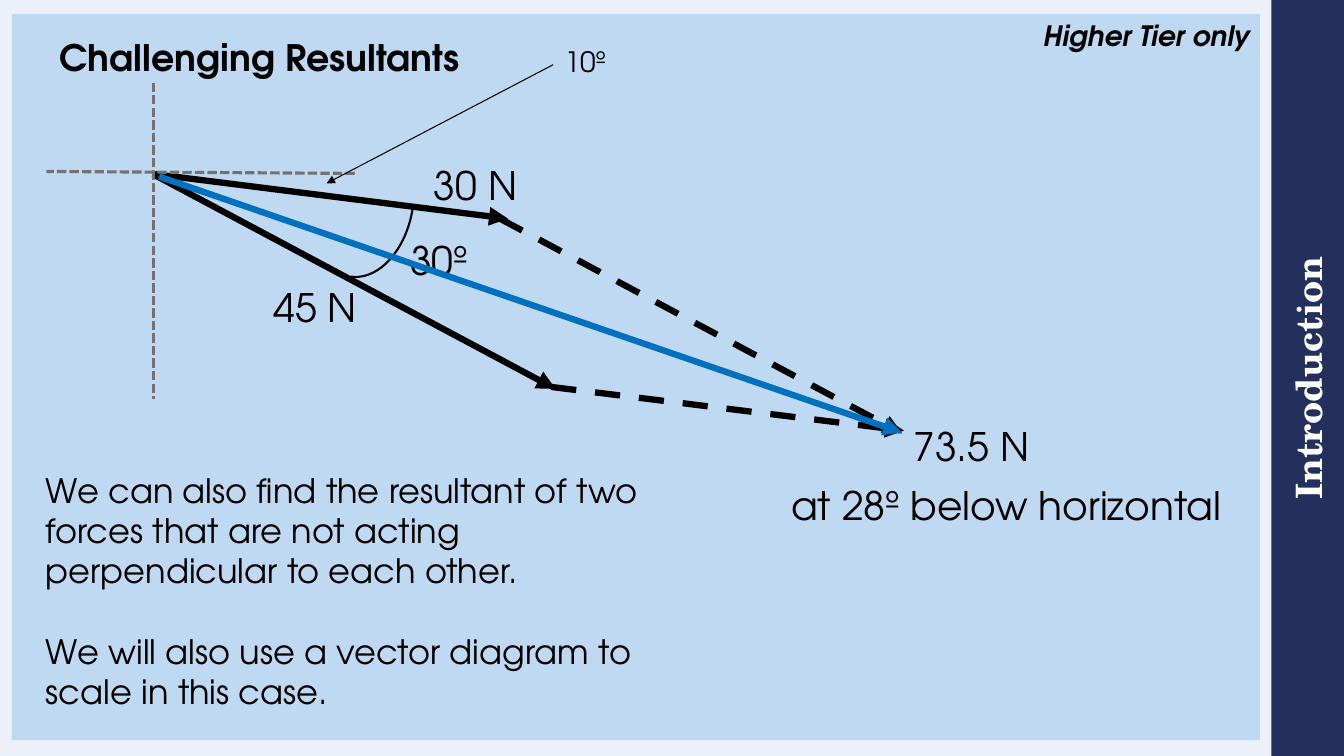
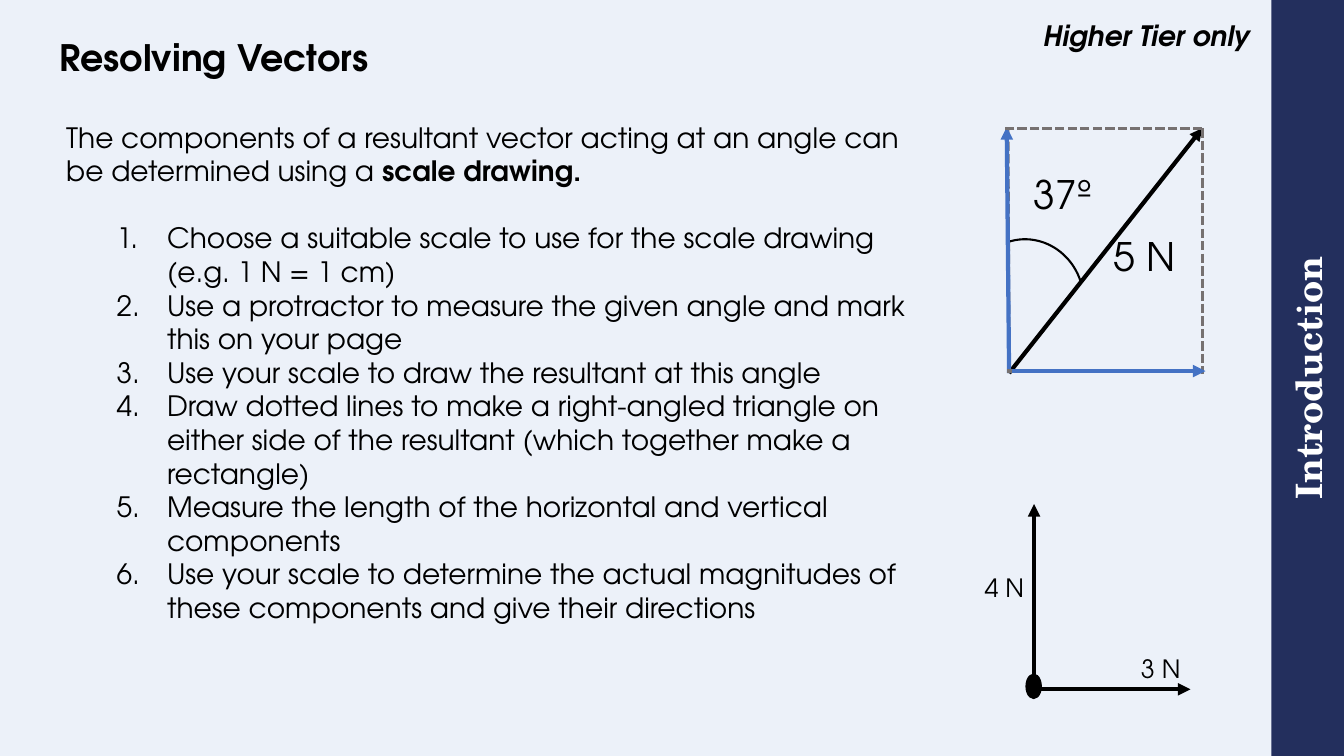
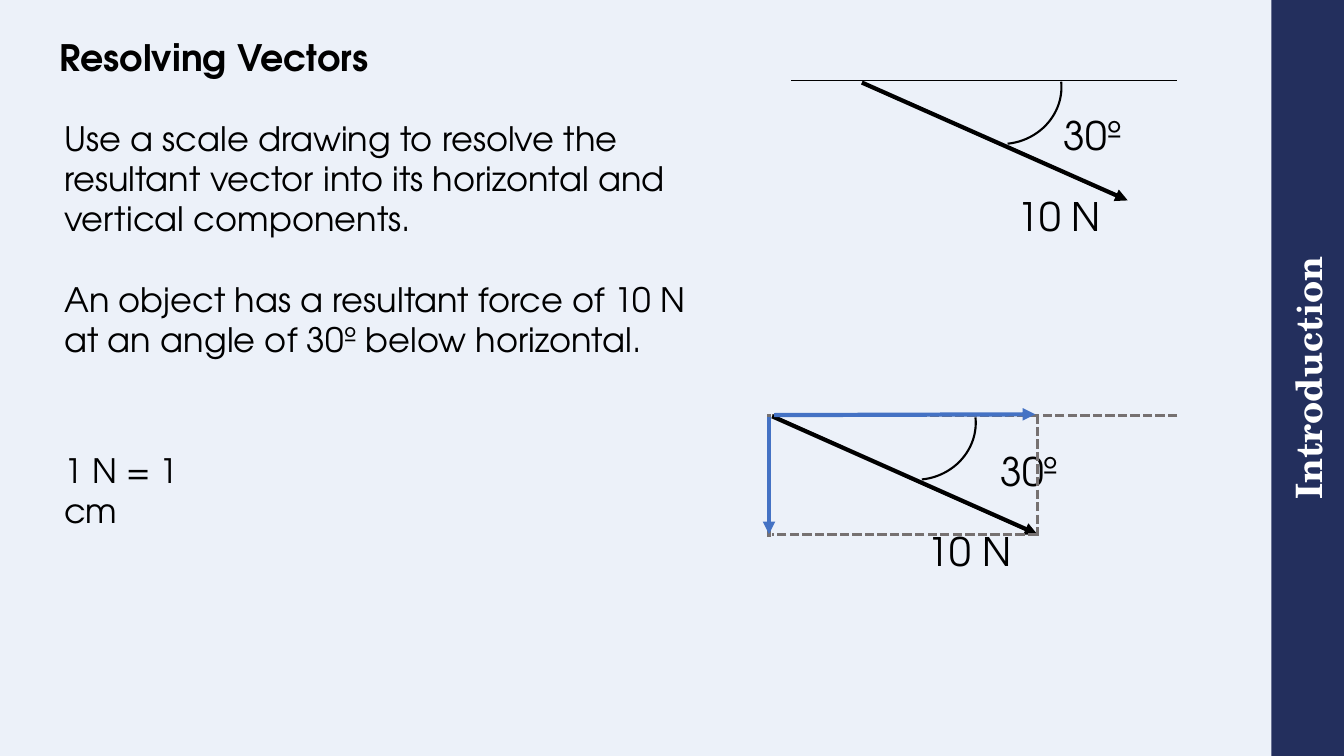
"""Builds three slides on resultant forces and resolving vectors."""
from lxml import etree
from pptx import Presentation
from pptx.dml.color import RGBColor
from pptx.enum import dml, shapes, text
from pptx.oxml import ns
from pptx.util import Cm, Pt


class Theme:
    sans, serif = "TeX Gyre Adventor", "TeX Gyre Schola"
    black, white = RGBColor(0, 0, 0), RGBColor(255, 255, 255)
    page = RGBColor.from_string("ECF1F9")
    panel = RGBColor.from_string("BED9F1")
    navy = RGBColor.from_string("232F5D")
    blue = RGBColor.from_string("4472C4")
    deep = RGBColor.from_string("0070C0")
    grey = RGBColor.from_string("767171")
    head, force, body, note, small = 26, 28, 24, 20, 18
    dash, dots = dml.MSO_LINE.DASH, dml.MSO_LINE.SQUARE_DOT
    pens = {
        "thick": (black, 4.5, None, True),
        "side": (black, 4.5, dash, True),
        "sum": (deep, 4.5, None, True),
        "arrow": (black, 3, None, True),
        "part": (blue, 3, None, True),
        "guide": (grey, 2.25, dots, False),
        "point": (black, 0.75, None, True),
        "level": (black, 0.5, None, False),
    }


LEFT, RIGHT = text.PP_ALIGN.LEFT, text.PP_ALIGN.RIGHT
WIDE, HIGH = 33.87, 19.05


def write(slide, words, left, top, width, height, size=Theme.force, align=RIGHT):
    box = slide.shapes.add_textbox(Cm(left), Cm(top), Cm(width), Cm(height))
    frame = box.text_frame
    frame.word_wrap = True
    frame.text = words
    for num, para in enumerate(frame.paragraphs):
        para.alignment = align
        if num == 1:
            para.space_before = Pt(size * 1.2)
        para.font.name, para.font.size = Theme.sans, Pt(size)
        para.font.color.rgb = Theme.black
    return frame


def draw(slide, pen, *ends):
    color, width, dash, tip = Theme.pens[pen]
    link = slide.shapes.add_connector(
        shapes.MSO_CONNECTOR.STRAIGHT, *[Cm(end) for end in ends])
    link.line.color.rgb = color
    link.line.width = Pt(width)
    if dash:
        link.line.dash_style = dash
    if tip:
        tail = etree.SubElement(link.line._get_or_add_ln(), ns.qn("a:tailEnd"))
        tail.set("type", "triangle")
    etree.SubElement(link._element.spPr, ns.qn("a:effectLst"))


prs = Presentation()
prs.slide_width, prs.slide_height = Cm(WIDE), Cm(HIGH)
layout = prs.slide_layouts[5]
layout.background.fill.solid()
layout.background.fill.fore_color.rgb = Theme.page

slides = []
for name, tier, fill in (
    ("Challenging Resultants", True, Theme.panel),
    ("Resolving Vectors", True, None),
    ("Resolving Vectors", False, None),
):
    slide = prs.slides.add_slide(layout)
    slides.append(slide)
    if tier:
        panel = slide.shapes.add_shape(
            shapes.MSO_SHAPE.RECTANGLE, Cm(0.3), Cm(0.35), Cm(31.45), Cm(18.3))
        panel.shadow.inherit = False
        panel.line.fill.background()
        if fill:
            panel.fill.solid()
            panel.fill.fore_color.rgb = fill
        else:
            panel.fill.background()
        panel.text_frame.text = "Higher Tier only"
        panel.text_frame.vertical_anchor = text.MSO_ANCHOR.TOP
        para = panel.text_frame.paragraphs[0]
        para.alignment = RIGHT
        para.font.name, para.font.size = Theme.sans, Pt(Theme.note)
        para.font.bold = para.font.italic = True
        para.font.color.rgb = Theme.black

    title = slide.shapes.title
    title.left, title.top, title.width, title.height = Cm(1.5), Cm(0), Cm(29.5), Cm(2)
    frame = title.text_frame
    frame.text = name
    frame.auto_size = text.MSO_AUTO_SIZE.NONE
    frame.vertical_anchor = text.MSO_ANCHOR.BOTTOM
    frame.margin_left = frame.margin_top = frame.margin_right = frame.margin_bottom = 0
    para = frame.paragraphs[0]
    para.alignment, para.line_spacing = LEFT, 0.9
    para.font.name, para.font.size, para.font.bold = Theme.sans, Pt(Theme.head), True
    para.font.color.rgb = Theme.black
    slide.shapes._spTree.append(title._element)

sums, steps, task = slides

thick = 1.83
band = sums.shapes.add_shape(
    shapes.MSO_SHAPE.RECTANGLE, Cm(WIDE - thick / 2 - HIGH / 2),
    Cm(HIGH / 2 - thick / 2), Cm(HIGH), Cm(thick))
band.rotation = 270
band.shadow.inherit = False
band.fill.solid()
band.fill.fore_color.rgb = Theme.navy
band.line.fill.background()
frame = band.text_frame
frame.text = "Introduction"
frame.vertical_anchor = text.MSO_ANCHOR.MIDDLE
frame.margin_left = frame.margin_top = frame.margin_right = frame.margin_bottom = 0
para = frame.paragraphs[0]
para.alignment = text.PP_ALIGN.CENTER
para.font.name, para.font.size, para.font.bold = Theme.serif, Pt(Theme.head), True
para.font.color.rgb = Theme.white
layout.shapes._spTree.append(band._element)

write(sums, "We can also find the resultant of two forces that are not acting "
      "perpendicular to each other.\nWe will also use a vector diagram to scale "
      "in this case.", 0.91, 11.71, 16.69, 6.4, Theme.body, LEFT)
write(task, "Use a scale drawing to resolve the resultant vector into its "
      "horizontal and vertical components.\nAn object has a resultant force of "
      "10 N at an angle of 30º below horizontal.",
      1.37, 2.84, 16.69, 6.4, Theme.body, LEFT)
write(task, "1 N = 1 cm", 1.37, 11.2, 4.7, 1.27, Theme.body, LEFT)

frame = write(steps, "The components of a resultant vector acting at an angle can "
              "be determined using a ", 1.42, 2.9, 22.15, 13.08, Theme.note, LEFT)
run = frame.paragraphs[0].add_run()
run.text = "scale drawing."
run.font.bold = True
for num, words in enumerate((
    "Choose a suitable scale to use for the scale drawing (e.g. 1 N = 1 cm)",
    "Use a protractor to measure the given angle and mark this on your page",
    "Use your scale to draw the resultant at this angle",
    "Draw dotted lines to make a right-angled triangle on either side of the "
    "resultant (which together make a rectangle)",
    "Measure the length of the horizontal and vertical components",
    "Use your scale to determine the actual magnitudes of these components and "
    "give their directions",
)):
    para = frame.add_paragraph()
    para.text = words
    para.level = 1
    props = para._p.get_or_add_pPr()
    props.set("marL", str(Cm(2.54)))
    props.set("indent", str(-Cm(1.27)))
    etree.SubElement(props, ns.qn("a:buFont")).set("typeface", "+mj-lt")
    etree.SubElement(props, ns.qn("a:buAutoNum")).set("type", "arabicPeriod")
    para.alignment = LEFT
    if num == 0:
        para.space_before = Pt(Theme.note * 1.2)
    para.font.name, para.font.size = Theme.sans, Pt(Theme.note)
    para.font.color.rgb = Theme.black

for slide, words, left, top, width in (
    (sums, "45 N", 5.61, 7.01, 3.63),
    (sums, "30 N", 9.65, 3.94, 3.63),
    (sums, "30º", 9.91, 5.84, 2.13),
    (sums, "73.5 N", 22.56, 10.52, 3.63),
    (sums, "at 28º below horizontal", 18.47, 12.01, 12.55),
    (steps, "5 N", 26.24, 5.74, 3.63),
    (steps, "37º", 22.1, 4.17, 5.66),
    (task, "10 N", 24.36, 4.72, 3.63),
    (task, "30º", 26.39, 2.69, 2.13),
    (task, "30º", 24.79, 11.15, 2.13),
    (task, "10 N", 22.1, 13.16, 3.63),
):
    write(slide, words, left, top, width, 1.45)
write(sums, "10º", 13.39, 0.99, 2.13, 1.12, Theme.note)
write(steps, "3 N", 28.35, 16.33, 1.65, 1.02, Theme.small)
write(steps, "4 N", 24.41, 14.3, 1.65, 1.02, Theme.small)

for slide, left, top, width, height, turn in (
    (sums, 7.14, 3.71, 3.94, 2.62, 97.9),
    (steps, 24.46, 6.02, 2.84, 3, 341.6),
    (task, 23.83, 0.71, 2.84, 3, 84.3),
    (task, 21.67, 9.17, 2.84, 3, 84.3),
):
    arc = slide.shapes.add_shape(
        shapes.MSO_SHAPE.ARC, Cm(left), Cm(top), Cm(width), Cm(height))
    arc.rotation = turn
    arc.shadow.inherit = False
    arc.fill.background()
    arc.line.color.rgb = Theme.black
    arc.line.width = Pt(1.5)

for slide, pen, *ends in (
    (sums, "thick", 3.91, 4.39, 12.8, 5.51),
    (sums, "thick", 3.86, 4.39, 14, 9.8),
    (sums, "side", 13.89, 9.75, 22.78, 10.85),
    (sums, "side", 12.6, 5.51, 22.73, 10.92),
    (sums, "sum", 4.01, 4.45, 22.73, 10.9),
    (sums, "guide", 3.86, 2.08, 3.86, 10.06),
    (sums, "guide", 8.94, 4.37, 1.17, 4.32),
    (sums, "point", 13.94, 1.63, 8.23, 4.62),
    (steps, "arrow", 25.43, 9.4, 30.3, 3.23),
    (steps, "guide", 25.4, 3.25, 25.43, 9.4),
    (steps, "part", 25.43, 9.4, 25.37, 3.2),
    (steps, "guide", 30.35, 9.35, 25.37, 9.35),
    (steps, "arrow", 26.06, 17.37, 26.06, 12.7),
    (steps, "arrow", 26.06, 17.37, 30, 17.37),
    (steps, "guide", 30.3, 3.23, 30.3, 9.42),
    (steps, "guide", 30.3, 3.23, 25.3, 3.23),
    (steps, "part", 25.5, 9.35, 30.38, 9.35),
    (task, "arrow", 21.72, 2.08, 28.42, 5.05),
    (task, "level", 19.94, 2.03, 29.67, 2.03),
    (task, "guide", 29.67, 10.46, 19.46, 10.46),
    (task, "arrow", 19.46, 10.49, 26.14, 13.46),
    (task, "part", 19.51, 10.46, 26.09, 10.44),
    (task, "guide", 26.14, 13.46, 19.46, 13.46),
    (task, "guide", 26.14, 10.44, 26.14, 13.51),
    (task, "guide", 19.38, 10.44, 19.38, 13.54),
    (task, "part", 19.38, 10.52, 19.38, 13.46),
):
    draw(slide, pen, *ends)

dot = steps.shapes.add_shape(
    shapes.MSO_SHAPE.OVAL, Cm(25.86), Cm(16.99), Cm(0.38), Cm(0.61))
dot.shadow.inherit = False
dot.fill.solid()
dot.fill.fore_color.rgb = Theme.black
dot.line.color.rgb = Theme.black
dot.line.width = Pt(1)

prs.save("out.pptx")
